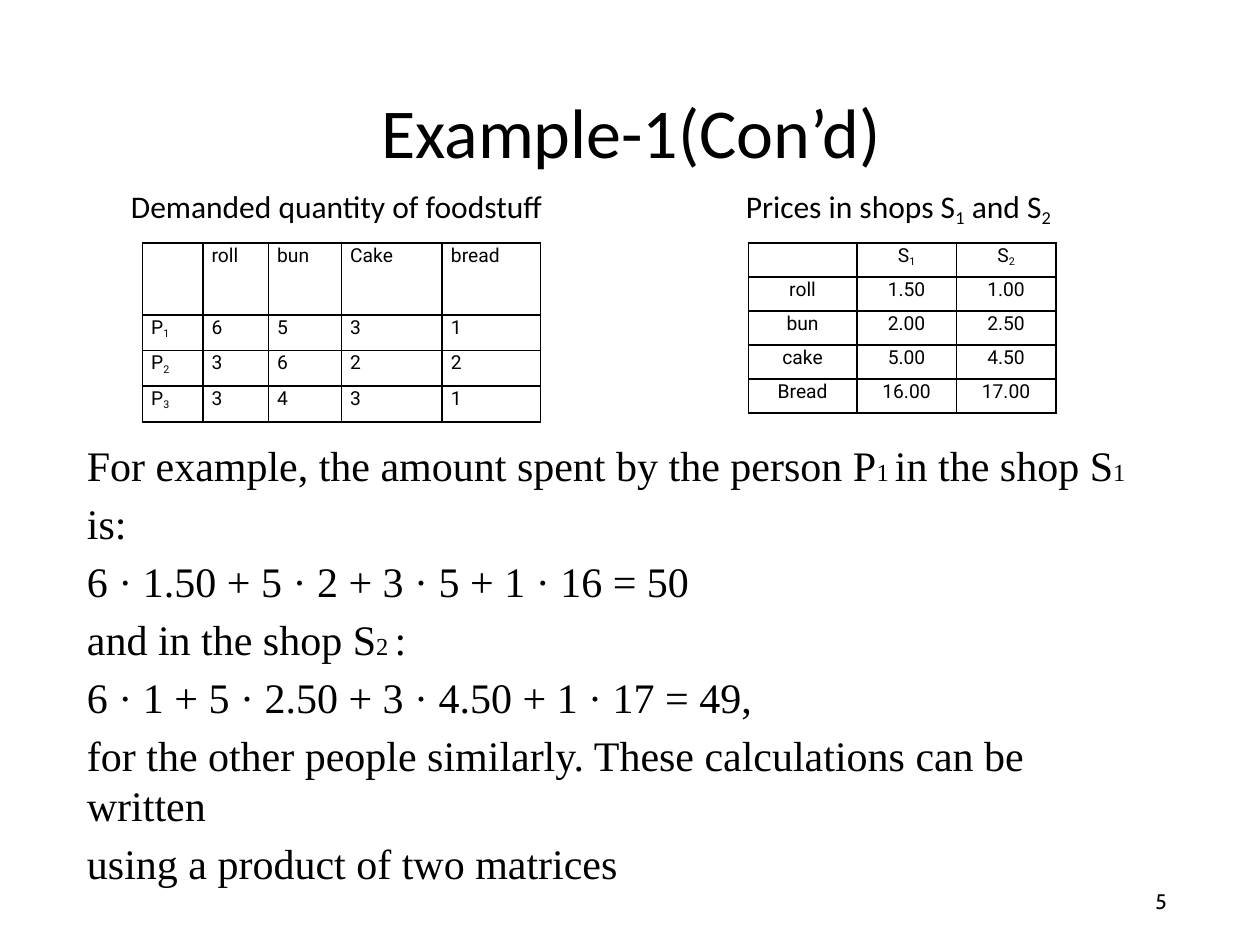
"""Build the slide that prices foodstuff demand in two shops."""
from lxml import etree
from pptx import Presentation
from pptx import util as u
from pptx.dml.color import RGBColor
from pptx.enum import text
from pptx.oxml import parse_xml
from pptx.oxml.ns import nsdecls, qn

COLORS = {"ink": "000000"}

deck = Presentation()
deck.slide_width, deck.slide_height = u.Inches(10), u.Inches(7.5)
unit = deck.slide_width / 100
page = deck.slides.add_slide(deck.slide_layouts[6])


def add_box(left, top, width, height):
    box = page.shapes.add_textbox(*[round(unit * n) for n in (left, top, width, height)])
    frame = box.text_frame
    frame.word_wrap = True
    frame.margin_left = frame.margin_right = frame.margin_bottom = 0
    frame.margin_top = round(unit * 0.1)
    return frame


def write(para, words, font, size, sub_size=None, baseline=0):
    for index, part in enumerate(words.split("|")):
        span = para.add_run()
        span.text = part
        span.font.name = font
        span.font.size = u.Pt(sub_size if index % 2 else size)
        span.font.color.rgb = RGBColor.from_string(COLORS["ink"])
        if index % 2 and baseline:
            span.font._element.set("baseline", str(baseline * 1000))


heading = add_box(9.8, 7, 74, 11)
heading.margin_top = 0
title = heading.paragraphs[0]
title.alignment = text.PP_ALIGN.CENTER
title._p.get_or_add_pPr().set("marL", str(round(unit * 6.6)))
write(title, "Example-1(Con’d)", "Calibri", 40)

captions = heading.add_paragraph()
properties = captions._p.get_or_add_pPr()
properties.set("marL", str(round(unit * 0.6)))
tabs = etree.SubElement(properties, qn("a:tabLst"))
etree.SubElement(tabs, qn("a:tab"), pos=str(round(unit * 48.8)), algn="l")
captions.space_before = u.Pt(8.4)
write(captions, "Demanded quantity of foodstuff\tPrices in shops S|1| and S|2|",
      "Calibri", 18, 18, -21)

tables = [
    (59.4, [8.6, 7.9, 7.9], [2.7] * 5, text.PP_ALIGN.CENTER, 0,
     [["", "S|1|", "S|2|"], ["roll", "1.50", "1.00"], ["bun", "2.00", "2.50"],
      ["cake", "5.00", "4.50"], ["Bread", "16.00", "17.00"]]),
    (11.3, [4.8, 5.2, 5.8, 8, 7.8], [5.7] + [2.83] * 3, text.PP_ALIGN.LEFT, 0.7,
     [["", "roll", "bun", "Cake", "bread"], ["P|1|", "6", "5", "3", "1"],
      ["P|2|", "3", "6", "2", "2"], ["P|3|", "3", "4", "3", "1"]]),
]
for left, columns, rows, alignment, indent, values in tables:
    size = [round(unit * n) for n in (left, 19.3, sum(columns), sum(rows))]
    table = page.shapes.add_table(len(rows), len(columns), *size).table
    table.first_row = table.horz_banding = False
    for column, width in zip(table.columns, columns):
        column.width = round(unit * width)
    for row, height, words in zip(table.rows, rows, values):
        row.height = round(unit * height)
        for cell, word in zip(row.cells, words):
            cell.margin_left = round(unit * indent)
            cell.margin_right = cell.margin_bottom = 0
            cell.margin_top = round(unit * 0.1)
            cell.fill.background()
            for index, side in enumerate(("lnL", "lnR", "lnT", "lnB")):
                border = parse_xml(
                    f'<a:{side} {nsdecls("a")} w="{u.Pt(1)}"><a:solidFill>'
                    f'<a:srgbClr val="{COLORS["ink"]}"/></a:solidFill></a:{side}>')
                cell._tc.get_or_add_tcPr().insert(index, border)
            para = cell.text_frame.paragraphs[0]
            para.alignment = alignment
            if word:
                write(para, word, "Roboto", 11, 10.5, -20)
            else:
                etree.SubElement(para._p, qn("a:endParaRPr"), sz="1100")

lines = [
    "For example, the amount spent by the person P|1 |in the shop S|1 |is:",
    "6 · 1.50 + 5 · 2 + 3 · 5 + 1 · 16 = 50",
    "and in the shop S|2 |:",
    "6 · 1 + 5 · 2.50 + 3 · 4.50 + 1 · 17 = 49,",
    "for the other people similarly. These calculations can be written",
    "using a product of two matrices",
]
body = add_box(6.9, 34.2, 84, 32.5)
for index, line in enumerate(lines):
    para = body.add_paragraph() if index else body.paragraphs[0]
    if index:
        para.space_before = u.Pt(4.3)
    else:
        para.line_spacing = 1.15
    write(para, line, "Times New Roman", 24, 14)

number = add_box(91.7, 70.4, 2.7, 2.3)
write(number.paragraphs[0], "5", "Cabin", 12)

deck.save("out.pptx")
